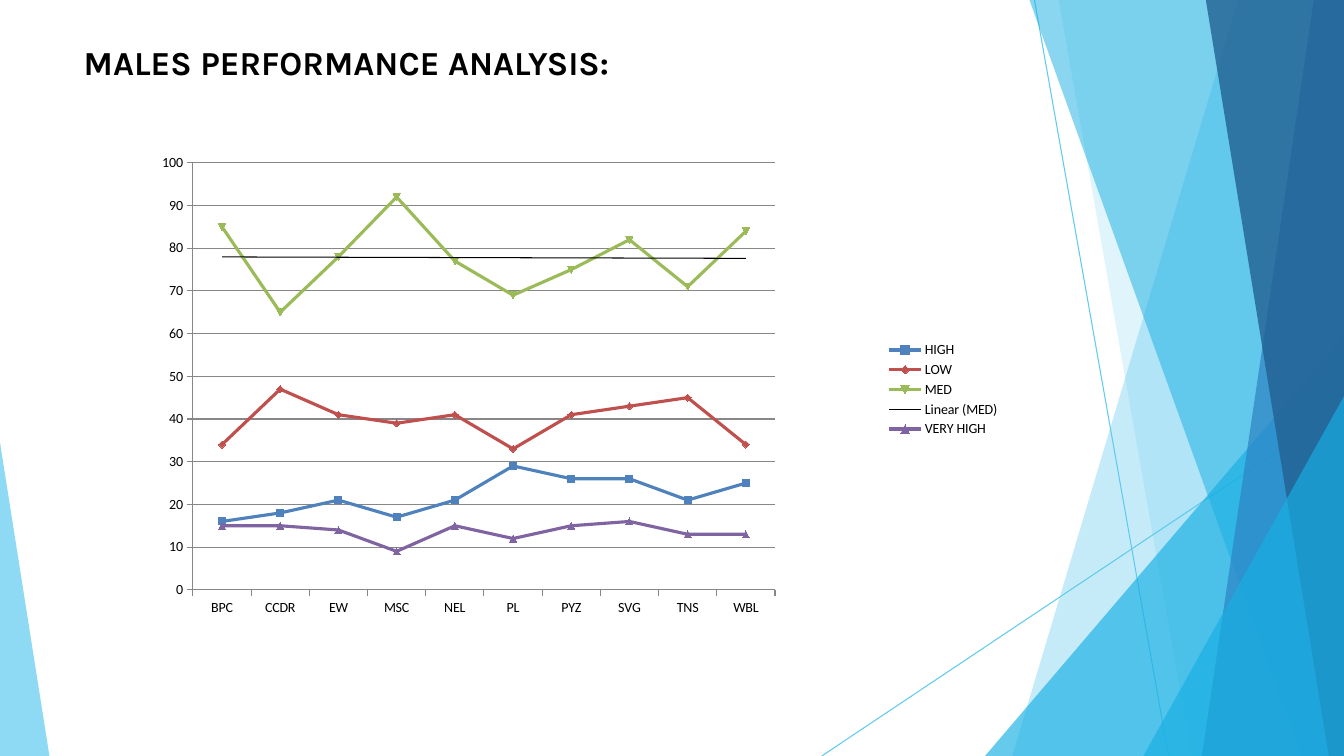
from lxml import etree
from pptx import Presentation
from pptx.chart.data import CategoryChartData
from pptx.dml.color import RGBColor
from pptx.enum import chart as charts, shapes, text
from pptx.oxml import parse_xml
from pptx.oxml.ns import nsdecls, qn
from pptx.util import Inches, Pt

WIDTH, HEIGHT = 13.33, 7.5
BLACK = RGBColor(0x00, 0x00, 0x00)
GRAY = RGBColor(0x87, 0x87, 0x87)
SKY = RGBColor(0x5F, 0xCA, 0xEE)
CYAN = RGBColor(0x17, 0xAF, 0xE3)
BLUE = RGBColor(0x2D, 0x83, 0xC3)
NAVY = RGBColor(0x22, 0x61, 0x92)

RAYS = [((10.26, 0), (11.59, HEIGHT)), ((WIDTH, 4.04), (8.15, HEIGHT))]

# Facets on the right edge: top of the edge, top-left x (None for a triangle),
# bottom-left x, colour, opacity in percent
FACETS = [
    (0, 12.28, 10.04, SKY, 36),
    (0, 10.5, 11.82, SKY, 20),
    (3.33, None, 9.77, CYAN, 66),
    (0, 10.21, 12.91, CYAN, 50),
    (0, 13.03, 11.92, BLUE, 70),
    (0, 11.96, 13.18, NAVY, 80),
    (3.93, None, 11.34, CYAN, 66),
]

COURSES = ["BPC", "CCDR", "EW", "MSC", "NEL", "PL", "PYZ", "SVG", "TNS", "WBL"]
LEVELS = [
    ("HIGH", RGBColor(0x4F, 0x81, 0xBD), [16, 18, 21, 17, 21, 29, 26, 26, 21, 25]),
    ("LOW", RGBColor(0xC0, 0x50, 0x4D), [34, 47, 41, 39, 41, 33, 41, 43, 45, 34]),
    ("MED", RGBColor(0x9B, 0xBB, 0x59), [85, 65, 78, 92, 77, 69, 75, 82, 71, 84]),
    ("VERY HIGH", RGBColor(0x80, 0x64, 0xA2), [15, 15, 14, 9, 15, 12, 15, 16, 13, 13]),
]
TREND_LEVEL = "MED"
PLOT_AREA = {"x": 0.065, "y": 0.07, "w": 0.666, "h": 0.81}


def add_ray(page, start, end):
    ray = page.shapes.add_connector(
        shapes.MSO_CONNECTOR.STRAIGHT, *(Inches(value) for value in start + end))
    ray.line.color.rgb = SKY
    ray.line.width = Pt(0.75)
    etree.SubElement(ray._element.spPr, qn("a:effectLst"))


def add_facet(page, points, color, opacity):
    """Draw a translucent polygon through points given in inches."""
    corners = [(Inches(x), Inches(y)) for x, y in points]
    builder = page.shapes.build_freeform(*corners[0])
    builder.add_line_segments(corners[1:], close=True)
    facet = builder.convert_to_shape()
    facet.shadow.inherit = False
    facet.line.fill.background()
    facet.fill.solid()
    facet.fill.fore_color.rgb = color
    tint = facet._element.spPr.find(qn("a:solidFill"))[0]
    etree.SubElement(tint, qn("a:alpha"), val=str(opacity * 1000))


def add_backdrop(page):
    for start, end in RAYS:
        add_ray(page, start, end)
    for top, top_left, bottom_left, color, opacity in FACETS:
        points = [(WIDTH, top), (bottom_left, HEIGHT), (WIDTH, HEIGHT)]
        if top_left is not None:
            points.insert(1, (top_left, top))
        add_facet(page, points, color, opacity)
    add_facet(page, [(0, 4.39), (0, HEIGHT), (0.49, HEIGHT)], SKY, 70)


def set_font(font, name, size, bold=False):
    font.name = name
    font.size = Pt(size)
    font.bold = bold
    font.color.rgb = BLACK


def set_title(page, wording):
    title = page.shapes.title
    title.left, title.top = Inches(0.83), Inches(0.42)
    title.width, title.height = Inches(11.68), Inches(0.81)
    frame = title.text_frame
    frame.margin_left = frame.margin_top = frame.margin_right = frame.margin_bottom = 0
    frame.vertical_anchor = text.MSO_ANCHOR.TOP
    frame.word_wrap = True
    para = frame.paragraphs[0]
    para.alignment = text.PP_ALIGN.LEFT
    span = para.add_run()
    span.text = wording
    set_font(span.font, "Karla", 24, bold=True)


def add_linear_trend(series):
    trend = parse_xml(
        f'<c:trendline {nsdecls("c", "a")}><c:spPr><a:ln w="{Pt(0.75)}"><a:solidFill>'
        f'<a:srgbClr val="{BLACK}"/></a:solidFill></a:ln></c:spPr>'
        '<c:trendlineType val="linear"/><c:dispRSqr val="0"/><c:dispEq val="0"/>'
        '</c:trendline>')
    series._element.find(qn("c:cat")).addprevious(trend)


def place_plot(chart):
    """Fix the inner plot area as fractions of the chart."""
    places = "".join(f'<c:{key} val="{value}"/>' for key, value in PLOT_AREA.items())
    layout = parse_xml(
        f'<c:layout {nsdecls("c")}><c:manualLayout><c:layoutTarget val="inner"/>'
        f'<c:xMode val="edge"/><c:yMode val="edge"/>{places}</c:manualLayout></c:layout>')
    plot_area = chart._chartSpace.chart.plotArea
    for old in plot_area.findall(qn("c:layout")):
        plot_area.remove(old)
    plot_area.insert(0, layout)


def style_axis(axis):
    axis.major_tick_mark = charts.XL_TICK_MARK.OUTSIDE
    axis.minor_tick_mark = charts.XL_TICK_MARK.NONE
    axis.format.line.color.rgb = GRAY
    axis.format.line.width = Pt(0.75)


def add_performance_chart(page):
    data = CategoryChartData()
    data.categories = COURSES
    for name, _, scores in LEVELS:
        data.add_series(name, scores)
    chart = page.shapes.add_chart(
        charts.XL_CHART_TYPE.LINE_MARKERS, Inches(1.35), Inches(1.25),
        Inches(8.67), Inches(5.23), data).chart
    chart.has_title = False
    set_font(chart.font, "Calibri", 10)
    place_plot(chart)

    chart.has_legend = True
    chart.legend.position = charts.XL_LEGEND_POSITION.RIGHT
    chart.legend.include_in_layout = False

    style_axis(chart.category_axis)
    scale = chart.value_axis
    style_axis(scale)
    scale.minimum_scale, scale.maximum_scale, scale.major_unit = 0, 100, 10
    scale.has_major_gridlines = True
    scale.major_gridlines.format.line.color.rgb = GRAY
    scale.major_gridlines.format.line.width = Pt(0.75)

    plot = chart.plots[0]
    plot.vary_by_categories = False
    for series, (name, color, _) in zip(plot.series, LEVELS):
        series.smooth = False
        series.format.line.color.rgb = color
        series.format.line.width = Pt(2.25)
        series.marker.size = 5
        series.marker.format.fill.solid()
        series.marker.format.fill.fore_color.rgb = color
        series.marker.format.line.color.rgb = color
        if name == TREND_LEVEL:
            add_linear_trend(series)


def main():
    deck = Presentation()
    deck.slide_width, deck.slide_height = Inches(WIDTH), Inches(HEIGHT)
    page = deck.slides.add_slide(deck.slide_layouts.get_by_name("Title Only"))
    add_backdrop(page)
    set_title(page, "MALES PERFORMANCE ANALYSIS:")
    add_performance_chart(page)
    deck.save("out.pptx")


if __name__ == "__main__":
    main()
